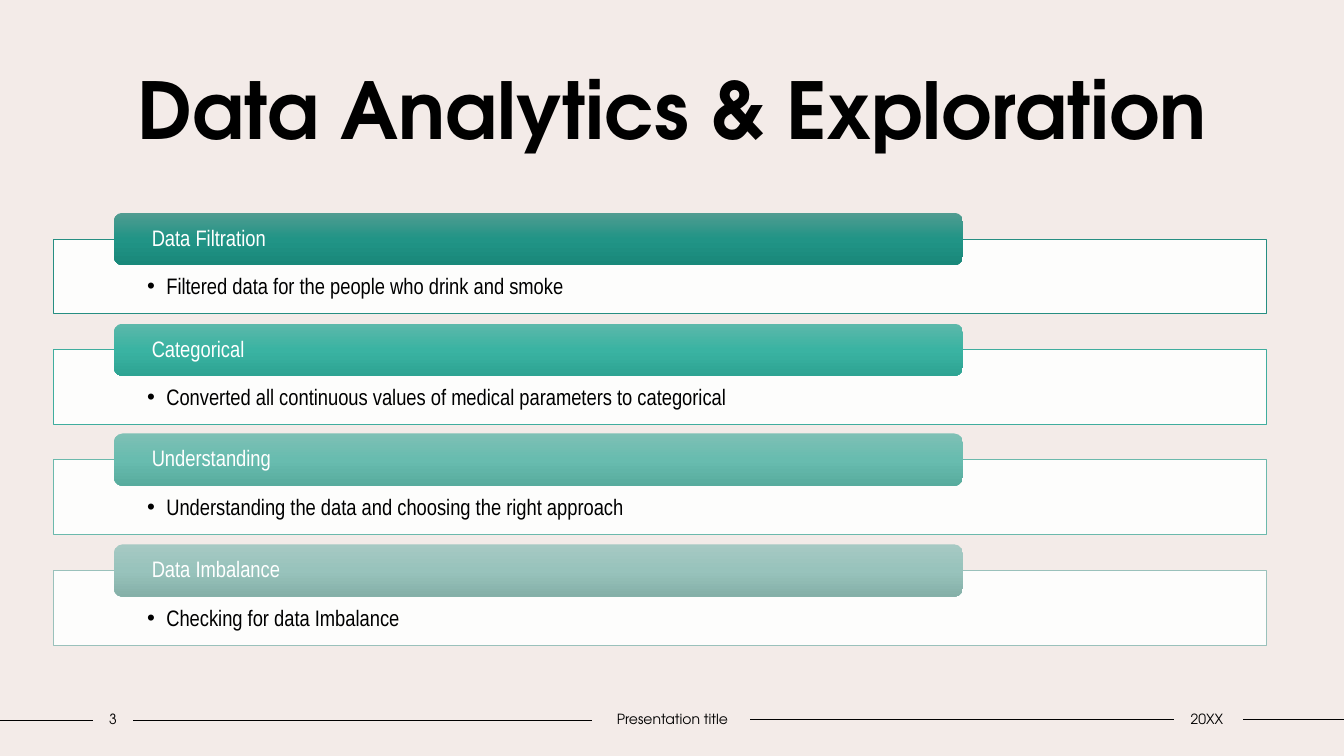
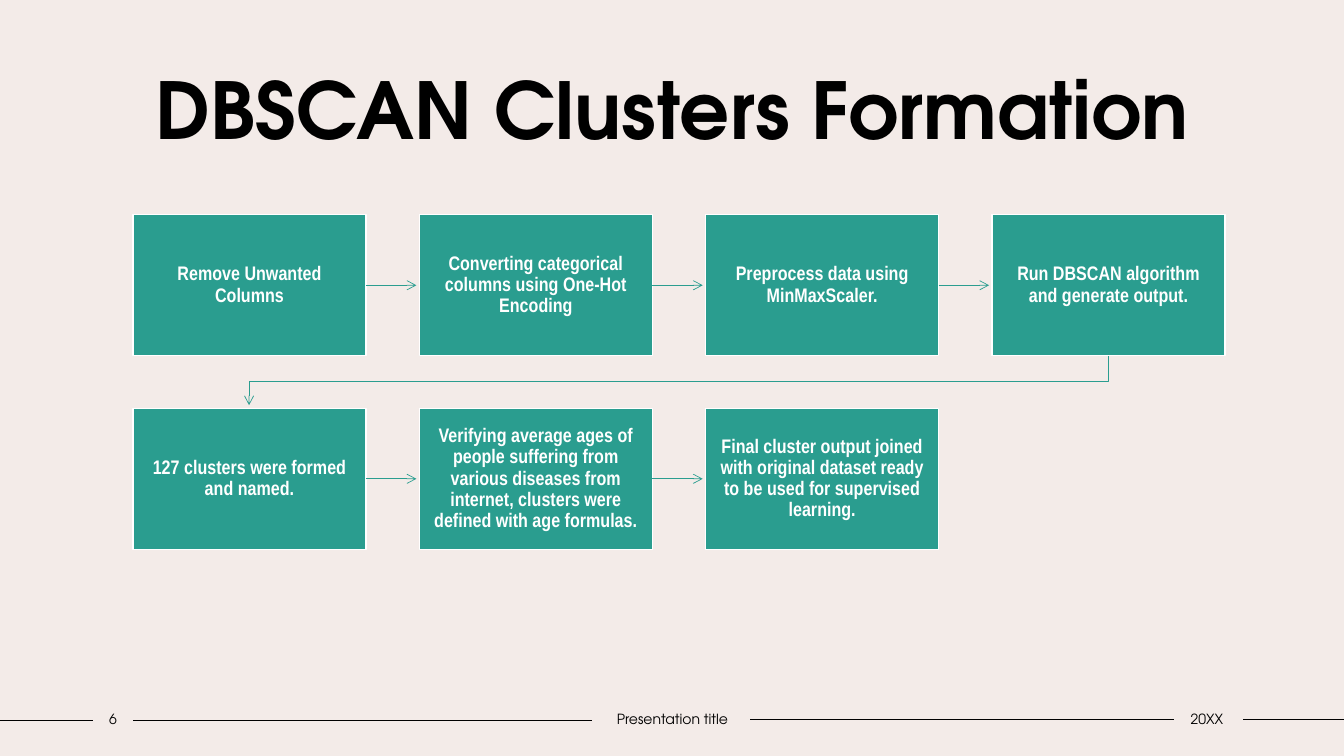
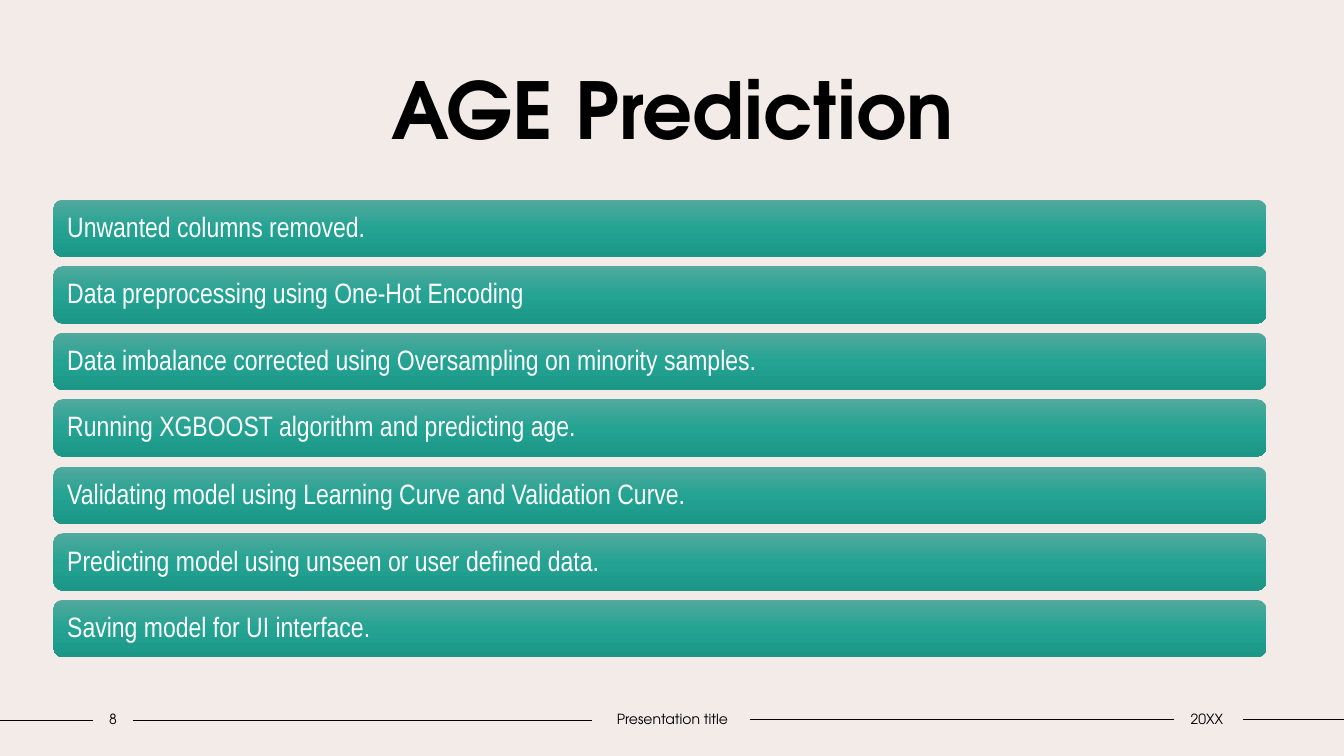
from dataclasses import dataclass
from typing import Any, NamedTuple

from pptx import Presentation, util as u
from pptx.dml.color import RGBColor
from pptx.enum import shapes, text
from pptx.oxml import ns, xmlchemy

PX = 9144  # EMU per px, 100 px to the inch
SLIDE_WIDTH, SLIDE_HEIGHT = 1333, 750


@dataclass(frozen=True)
class Theme:
    background: str = "F3EBE8"
    ink: str = "000000"
    white: str = "FFFFFF"
    teal: str = "2A9D8F"
    list_gradient: tuple[str, ...] = ("52A99D", "24A393", "1B9687")
    heading_font: str = "TeX Gyre Adventor"
    body_font: str = "Arial Narrow"
    title_size: int = 56
    footer_size: int = 10
    topic_size: int = 16
    step_size: int = 14
    list_size: int = 20


THEME = Theme()


class Rect(NamedTuple):
    left: int
    top: int
    width: int
    height: int


class Segment(NamedTuple):
    start: int
    end: int
    y: int


class Style(NamedTuple):
    font: str
    size: int
    color: str
    bold: bool = False
    align: Any = text.PP_ALIGN.LEFT
    anchor: Any = text.MSO_ANCHOR.MIDDLE
    insets: tuple[int, int, int, int] = (0, 0, 0, 0)
    line_spacing: float = 0.9
    space_after: int = 0


class Topic(NamedTuple):
    heading: str
    detail: str
    outline: str
    gradient: tuple[str, ...]


CENTER = text.PP_ALIGN.CENTER
TITLE = Style(THEME.heading_font, THEME.title_size, THEME.ink, bold=True, align=CENTER,
              anchor=text.MSO_ANCHOR.TOP, insets=(10, 5, 10, 5), line_spacing=1.0)
FOOTER = Style(THEME.heading_font, THEME.footer_size, THEME.ink, align=CENTER,
               insets=(0, 5, 0, 5), line_spacing=1.0, space_after=6)
TOPIC_HEADING = Style(THEME.body_font, THEME.topic_size, THEME.white, insets=(35, 0, 35, 0))
TOPIC_DETAIL = Style(THEME.body_font, THEME.topic_size, THEME.ink,
                     anchor=text.MSO_ANCHOR.TOP, insets=(93, 36, 93, 12))
STEP = Style(THEME.body_font, THEME.step_size, THEME.white, bold=True, align=CENTER,
             insets=(11, 11, 11, 11))
LIST_ITEM = Style(THEME.body_font, THEME.list_size, THEME.white, insets=(11, 8, 11, 8))

TITLE_RECT = Rect(125, 56, 1084, 111)
FOOTER_RULES = (Segment(0, 92, 715), Segment(132, 587, 715),
                Segment(744, 1164, 714), Segment(1233, SLIDE_WIDTH, 714))
NUMBER_RECT = Rect(92, 700, 40, 27)
FOOTER_TEXTS = (("Presentation title", Rect(587, 700, 160, 27)),
                ("20XX", Rect(1162, 700, 70, 27)))

TOPICS = (
    Topic("Data Filtration", "Filtered data for the people who drink and smoke",
          "268E82", ("519C91", "219486", "19887A")),
    Topic("Categorical", "Converted all continuous values of medical parameters to categorical",
          "3FAD9E", ("5DB8AA", "3AB3A2", "2EA493")),
    Topic("Understanding", "Understanding the data and choosing the right approach",
          "6BB9AC", ("7EC0B5", "68BCAF", "58AC9E")),
    Topic("Data Imbalance", "Checking for data Imbalance",
          "9AC1BB", ("A6C9C3", "98C3BC", "85B0A8")),
)
STEPS = (
    "Remove Unwanted Columns",
    "Converting categorical columns using One-Hot Encoding",
    "Preprocess data using MinMaxScaler.",
    "Run DBSCAN algorithm and generate output.",
    "127 clusters were formed and named.",
    "Verifying average ages of people suffering from various diseases from internet, "
    "clusters were defined with age formulas.",
    "Final cluster output joined with original dataset ready to be used for "
    "supervised learning.",
)
PREDICTION_STAGES = (
    "Unwanted columns removed.",
    "Data preprocessing using One-Hot Encoding",
    "Data imbalance corrected using Oversampling on minority samples.",
    "Running XGBOOST algorithm and predicting age.",
    "Validating model using Learning Curve and Validation Curve.",
    "Predicting model using unseen or user defined data.",
    "Saving model for UI interface.",
)


def apply(target: Any, values: dict[str, Any]) -> None:
    for name, value in values.items():
        setattr(target, name, value)


def scaled(rect: Rect) -> list[int]:
    return [length * PX for length in rect]


def spread(first: int, last: int, count: int) -> list[int]:
    """Return evenly spaced positions from first to last, in whole px."""
    return [round(first + i * (last - first) / (count - 1)) for i in range(count)]


def add_xml(parent: Any, tag: str, **attributes: str) -> Any:
    child = xmlchemy.OxmlElement(tag)
    for name, value in attributes.items():
        child.set(name, value)
    parent.append(child)
    return child


def write(shape: Any, words: str, style: Style) -> Any:
    frame = shape.text_frame
    left, top, right, bottom = (inset * PX for inset in style.insets)
    apply(frame, {"word_wrap": True, "auto_size": text.MSO_AUTO_SIZE.NONE,
                  "vertical_anchor": style.anchor, "margin_left": left,
                  "margin_top": top, "margin_right": right, "margin_bottom": bottom})
    para = frame.paragraphs[0]
    apply(para, {"alignment": style.align, "line_spacing": style.line_spacing,
                 "space_after": u.Pt(style.space_after)})
    span = para.add_run()
    span.text = words
    apply(span.font, {"name": style.font, "size": u.Pt(style.size), "bold": style.bold})
    span.font.color.rgb = RGBColor.from_string(style.color)
    return para


def add_text(page: Any, rect: Rect, words: str, style: Style) -> None:
    write(page.shapes.add_textbox(*scaled(rect)), words, style)


def add_bullet(para: Any, indent: int) -> None:
    properties = para._p.get_or_add_pPr()
    properties.set("marL", str(indent * PX))
    properties.set("indent", str(-indent * PX))
    add_xml(properties, "a:buFont", typeface="Arial")
    add_xml(properties, "a:buChar", char="•")


def set_line(shape: Any, color: str, width: float) -> None:
    shape.line.color.rgb = RGBColor.from_string(color)
    shape.line.width = u.Pt(width)


def add_arrowhead(shape: Any) -> None:
    add_xml(shape.line._get_or_add_ln(), "a:tailEnd", type="arrow")


def add_line(page: Any, segment: Segment, color: str, width: float) -> Any:
    start, end, y = (length * PX for length in segment)
    line = page.shapes.add_connector(shapes.MSO_CONNECTOR.STRAIGHT, start, y, end, y)
    set_line(line, color, width)
    add_xml(line._element.spPr, "a:effectLst")
    return line


def add_rectangle(page: Any, rect: Rect, fill: str, outline: str, width: float) -> Any:
    box = page.shapes.add_shape(shapes.MSO_SHAPE.RECTANGLE, *scaled(rect))
    box.shadow.inherit = False
    box.fill.solid()
    box.fill.fore_color.rgb = RGBColor.from_string(fill)
    set_line(box, outline, width)
    return box


def add_gradient_bar(page: Any, rect: Rect, colors: tuple[str, ...]) -> Any:
    """Draw a rounded bar shaded from the first colour at the top to the last."""
    bar = page.shapes.add_shape(shapes.MSO_SHAPE.ROUNDED_RECTANGLE, *scaled(rect))
    bar.shadow.inherit = False
    bar.line.fill.background()
    bar.fill.gradient()
    bar.fill.gradient_angle = 270
    stops = bar._element.spPr.find(".//" + ns.qn("a:gsLst"))
    stops.clear()
    for position, color in zip(spread(0, 100000, len(colors)), colors):
        add_xml(add_xml(stops, "a:gs", pos=str(position)), "a:srgbClr", val=color)
    return bar


def add_page(deck: Any, title: str, number: int) -> Any:
    """Add a slide with the shared title, footer rules and footer texts."""
    page = deck.slides.add_slide(deck.slide_layouts[6])
    for rule in FOOTER_RULES:
        add_line(page, rule, THEME.ink, 1)
    add_text(page, TITLE_RECT, title, TITLE)
    for words, rect in ((str(number), NUMBER_RECT), *FOOTER_TEXTS):
        add_text(page, rect, words, FOOTER)
    return page


def draw_topics(page: Any) -> None:
    for top, topic in zip(spread(211, 540, len(TOPICS)), TOPICS):
        panel = add_rectangle(page, Rect(53, top + 26, 1203, 74), THEME.white,
                              topic.outline, 0.5)
        add_xml(panel._element.spPr.find(".//" + ns.qn("a:srgbClr")), "a:alpha", val="90000")
        add_bullet(write(panel, topic.detail, TOPIC_DETAIL), 19)
        bar = add_gradient_bar(page, Rect(113, top, 842, 52), topic.gradient)
        write(bar, topic.heading, TOPIC_HEADING)


def add_return_arrow(page: Any, source: Rect, target: Rect, gap: int) -> None:
    """Lead from under the last box of a row to the first box of the next."""
    start_x = source.left + source.width // 2
    end_x = target.left + target.width // 2
    bottom = source.top + source.height
    middle = (bottom + target.top) // 2 - 1
    builder = page.shapes.build_freeform(start_x, bottom, scale=PX)
    builder.add_line_segments([(start_x, middle), (end_x, middle),
                               (end_x, target.top - gap)], close=False)
    arrow = builder.convert_to_shape()
    arrow.shadow.inherit = False
    arrow.fill.background()
    set_line(arrow, THEME.teal, 0.5)
    add_arrowhead(arrow)


def draw_steps(page: Any) -> None:
    columns, gap = 4, 3
    rects = [Rect(132 + i % columns * 284, 213 + i // columns * 192, 231, 140)
             for i in range(len(STEPS))]
    boxes = []
    for rect, words in zip(rects, STEPS):
        box = add_rectangle(page, rect, THEME.teal, THEME.white, 1)
        write(box, words, STEP)
        boxes.append(box)
    for box, source, target in zip(boxes, rects, rects[1:]):
        if source.top != target.top:
            add_return_arrow(page, source, target, gap)
            continue
        segment = Segment(source.left + source.width, target.left - gap,
                          source.top + source.height // 2)
        arrow = add_line(page, segment, THEME.teal, 0.5)
        arrow.begin_connect(box, 3)
        add_arrowhead(arrow)


def draw_stages(page: Any) -> None:
    tops = spread(198, 595, len(PREDICTION_STAGES))
    for top, words in zip(tops, PREDICTION_STAGES):
        bar = add_gradient_bar(page, Rect(53, top, 1203, 57), THEME.list_gradient)
        write(bar, words, LIST_ITEM)


def main() -> None:
    deck = Presentation()
    apply(deck, {"slide_width": SLIDE_WIDTH * PX, "slide_height": SLIDE_HEIGHT * PX})
    backdrop = deck.slide_master.background.fill
    backdrop.solid()
    backdrop.fore_color.rgb = RGBColor.from_string(THEME.background)
    draw_topics(add_page(deck, "Data Analytics & Exploration", 3))
    draw_steps(add_page(deck, "DBSCAN Clusters Formation", 6))
    draw_stages(add_page(deck, "AGE Prediction", 8))
    deck.save("out.pptx")


if __name__ == "__main__":
    main()
